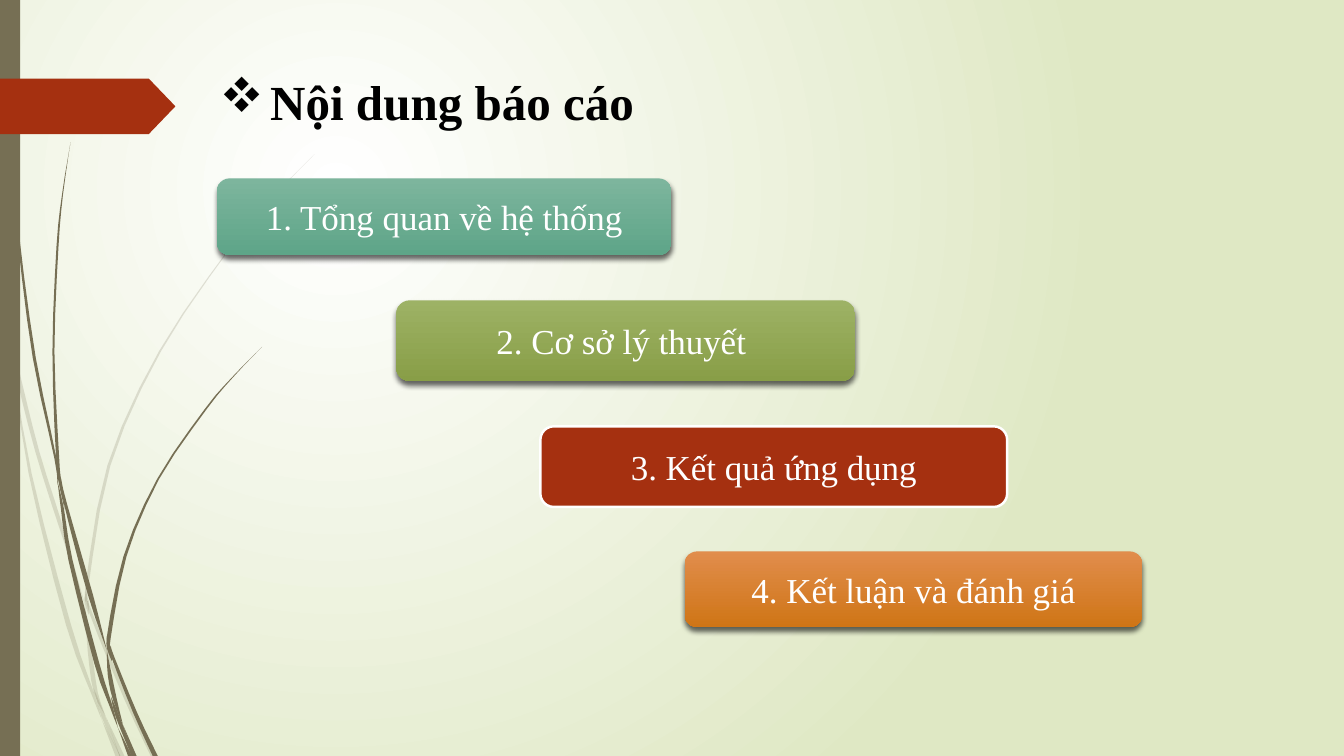
from pptx import Presentation, util as u
from pptx.dml.color import RGBColor
from pptx.enum import shapes, text
from pptx.oxml import parse_xml
from pptx.oxml.ns import nsdecls, qn

WHITE = RGBColor(0xFF, 0xFF, 0xFF)
BLACK = RGBColor(0, 0, 0)
PALE = RGBColor(0xDF, 0xE8, 0xC4)
OLIVE = RGBColor(0x76, 0x6F, 0x54)
RUST = RGBColor(0xA5, 0x30, 0x10)
TEAL = RGBColor(0x7D, 0xB5, 0x9D), RGBColor(0x5E, 0xA5, 0x88)
GREEN = RGBColor(0x9D, 0xB2, 0x65), RGBColor(0x88, 0x9E, 0x47)
AMBER = RGBColor(0xE1, 0x8D, 0x4C), RGBColor(0xCF, 0x75, 0x16)
NS = nsdecls("a")


def write(shape, words, size=25, color=WHITE, bold=False,
          align=text.PP_ALIGN.CENTER, anchor=text.MSO_ANCHOR.MIDDLE):
    frame = shape.text_frame
    frame.word_wrap = True
    frame.auto_size = text.MSO_AUTO_SIZE.NONE
    frame.vertical_anchor = anchor
    par = frame.paragraphs[0]
    par.alignment = align
    run = par.add_run()
    run.text = words
    run.font.name = "Times New Roman"
    run.font.size = u.Pt(size)
    run.font.bold = bold
    run.font.color.rgb = color
    return par


def shade(fill, pair):
    """Give a fill a two-colour gradient that runs downwards."""
    fill.gradient()
    fill.gradient_angle = 270
    for stop, color in zip(fill.gradient_stops, pair):
        stop.color.rgb = color


prs = Presentation()
prs.slide_width = u.Inches(13.33)
prs.slide_height = u.Inches(7.5)
slide = prs.slides.add_slide(prs.slide_layouts[5])

# Background: white glow in the upper left
back = slide.background
shade(back.fill, (WHITE, PALE))
line = next(back._cSld.iter(qn("a:lin")))
line.getparent().replace(line, parse_xml(
    f'<a:path {NS} path="circle"><a:fillToRect l="50000" t="50000" '
    'r="100000" b="100000"/></a:path>'))

# Grass blades in sections: (x, y, width) along the middle of each
faint = [
    [(0, 2.82, 0), (.05, 3.14, .04), (.11, 3.5, 0)],
    [(.14, 3.45, 0), (.19, 3.76, .04), (.37, 4.48, .04), (.6, 5.21, .04),
     (.84, 5.99, 0)],
    [(.88, 5.96, 0), (.9, 6.08, .03), (1.25, 6.93, .04), (1.52, 7.5, .05)],
    [(1.05, 7.11, 0), (1.21, 7.5, .05)],
    [(.11, 3.5, 0), (.3, 4.7, .03), (.68, 6.2, .05), (.92, 6.88, .03),
     (1.01, 7.14, 0)],
    [(.84, 5.99, 0), (.89, 6.46, .04), (.95, 6.87, .04), (1.05, 7.11, 0)],
    [(3.12, 1.53, 0), (2.68, 1.98, .01), (2.29, 2.45, .01),
     (1.59, 3.48, .02), (1.08, 4.62, .03), (.86, 5.84, .03), (.88, 5.96, 0)],
    [(1.01, 7.14, 0), (1.17, 7.5, .05)],
    [(.85, 5.86, 0), (.86, 5.98, .04), (.88, 6.1, 0)],
    [(.93, 6.83, 0), (1.03, 7.12, .04), (1.19, 7.5, 0)],
]
solid = [
    [(.04, 0, .01), (.07, 1.1, .02), (.18, 2.33, .02), (.34, 3.55, .03),
     (.55, 4.55, .02), (.57, 4.81, 0)],
    [(.6, 4.72, 0), (.65, 5, .03), (.9, 5.91, .05), (1.06, 6.45, 0)],
    [(1.1, 6.41, 0), (1.12, 6.52, .03), (1.34, 7.07, .04), (1.54, 7.5, .05)],
    [(.57, 4.77, 0), (.62, 5.05, .03), (.7, 5.56, .04), (.96, 6.58, .05),
     (1.1, 7, .03), (1.17, 7.22, 0)],
    [(.7, 1.41, 0), (.62, 1.93, .01), (.57, 2.45, .02), (.53, 3.49, .02),
     (.57, 4.51, .03), (.6, 4.72, 0)],
    [(1.22, 7.19, 0), (1.34, 7.5, .03)],
    [(.55, 4.49, 0), (.59, 4.75, .03), (.64, 5.05, 0)],
    [(2.6, 3.44, 0), (2.31, 3.74, .01), (2.04, 4.06, .02),
     (1.57, 4.75, .02), (1.24, 5.52, .03), (1.08, 6.32, .04), (1.1, 6.41, 0)],
    [(1.17, 7.22, 0), (1.29, 7.5, .04)],
    [(1.06, 6.45, 0), (1.09, 6.7, .04), (1.14, 6.94, .04), (1.22, 7.19, 0)],
    [(1.06, 6.31, 0), (1.08, 6.43, .04), (1.11, 6.56, 0)],
    [(1.1, 6.91, 0), (1.17, 7.12, .04), (1.32, 7.5, .03)],
]
STEPS = 3
for alpha, knots in [(20, b) for b in faint] + [(100, b) for b in solid]:
    ends = [knots[0], *knots, knots[-1]]
    spine = []
    for a, b, c, d in zip(ends, ends[1:], ends[2:], ends[3:]):
        for step in range(STEPS):
            t = step / STEPS
            # Catmull-Rom curve from b to c
            spine.append([
                q + t / 2 * (r - p + t * (2*p - 5*q + 4*r - s
                                          + t * (3*q - p - 3*r + s)))
                for p, q, r, s in zip(a, b, c, d)])
    spine.append(knots[-1])
    edge = [((x - w / 2) * 1000, y * 1000) for x, y, w in spine]
    edge += [((x + w / 2) * 1000, y * 1000) for x, y, w in reversed(spine)]
    pen = slide.shapes.build_freeform(*edge[0], scale=u.Inches(1) / 1000)
    pen.add_line_segments(edge[1:], close=True)
    blade = pen.convert_to_shape()
    blade.shadow.inherit = False
    blade.line.fill.background()
    blade.fill.solid()
    blade.fill.fore_color.rgb = OLIVE
    if alpha < 100:
        tint = next(blade._element.spPr.iter(qn("a:srgbClr")))
        tint.append(parse_xml(f'<a:alpha {NS} val="{alpha * 1000}"/>'))

# Side bar and red tag
kind = shapes.MSO_SHAPE
for form, color, place in [(kind.RECTANGLE, OLIVE, (0, 0, .2, 7.5)),
                           (kind.PENTAGON, RUST, (0, .78, 1.74, .55))]:
    mark = slide.shapes.add_shape(form, *map(u.Inches, place))
    mark.shadow.inherit = False
    mark.line.fill.background()
    mark.fill.solid()
    mark.fill.fore_color.rgb = color
mark.adjustments[0] = .48

# Title with its bullet
title = slide.shapes.title
title.left, title.top, title.width, title.height = map(
    u.Inches, (2.08, .66, 9.75, .66))
par = write(title, "Nội dung báo cáo", size=35, color=BLACK, bold=True,
            align=text.PP_ALIGN.LEFT, anchor=text.MSO_ANCHOR.TOP)
props = par._p.get_or_add_pPr()
props.set("marL", str(u.Inches(.5)))
props.set("indent", str(-u.Inches(.5)))
props.append(parse_xml(
    f'<a:buFont {NS} typeface="Wingdings" pitchFamily="2" charset="2"/>'))
props.append(parse_xml(f'<a:buChar {NS} char="v"/>'))

# Agenda steps
steps = [
    ("1. Tổng quan về hệ thống", TEAL, (2.15, 1.77, 4.51, .76)),
    ("2. Cơ sở lý thuyết ", GREEN, (3.93, 2.98, 4.55, .8)),
    ("3. Kết quả ứng dụng", None, (5.36, 4.23, 4.63, .8)),
    ("4. Kết luận và đánh giá", AMBER, (6.79, 5.47, 4.54, .75)),
]
for words, pair, place in steps:
    box = slide.shapes.add_shape(kind.ROUNDED_RECTANGLE,
                                 *map(u.Inches, place))
    box.shadow.inherit = False
    if pair:
        shade(box.fill, pair)
        box.line.fill.background()
        box._element.spPr.find(qn("a:effectLst")).append(parse_xml(
            f'<a:outerShdw {NS} blurRad="{u.Pt(4)}" dist="{u.Pt(3)}" '
            'dir="5400000" rotWithShape="0"><a:srgbClr val="000000">'
            '<a:alpha val="60000"/></a:srgbClr></a:outerShdw>'))
    else:
        box.fill.solid()
        box.fill.fore_color.rgb = RUST
        box.line.color.rgb = WHITE
        box.line.width = u.Pt(1.75)
    write(box, words)

prs.save("out.pptx")
